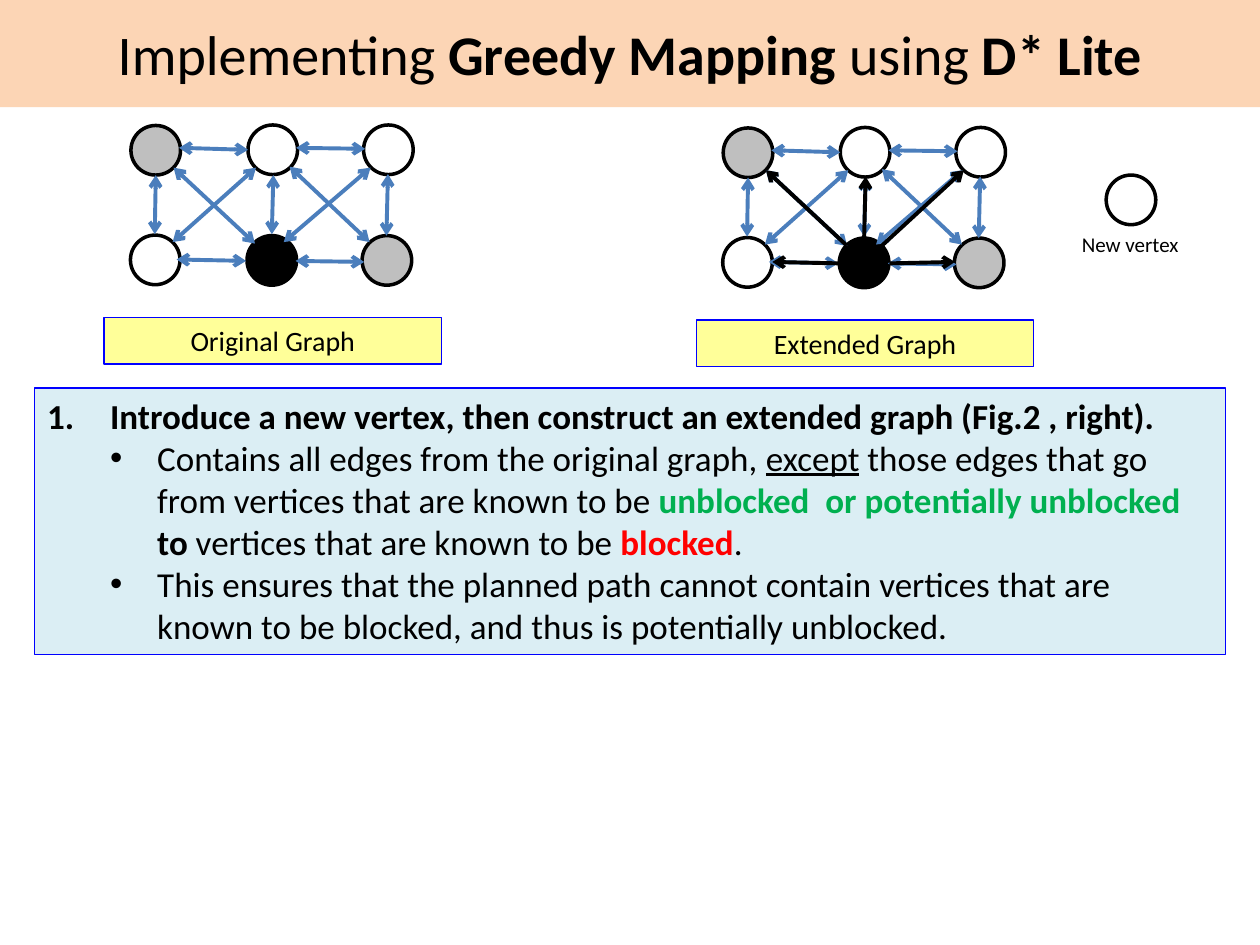
from dataclasses import dataclass

from lxml import etree
from pptx import Presentation
from pptx import util as u
from pptx.dml.color import RGBColor
from pptx.enum import shapes, text
from pptx.oxml.ns import qn

BLACK = RGBColor(0x00, 0x00, 0x00)
WHITE = RGBColor(0xFF, 0xFF, 0xFF)
GRAY = RGBColor(0xBF, 0xBF, 0xBF)
PEACH = RGBColor(0xFC, 0xD5, 0xB5)
YELLOW = RGBColor(0xFF, 0xFF, 0x99)
PALE_BLUE = RGBColor(0xDB, 0xEE, 0xF4)
BORDER_BLUE = RGBColor(0x00, 0x00, 0xFF)
EDGE_BLUE = RGBColor(0x4B, 0x7E, 0xBC)
GREEN = RGBColor(0x00, 0xB0, 0x50)
RED = RGBColor(0xFF, 0x00, 0x00)

FONT = "Calibri"
DIAMETER = 1.0
GRAPH_SHIFT = (11.94, 0.05)


@dataclass(frozen=True)
class Span:
    words: str
    bold: bool = False
    underline: bool = False
    color: RGBColor = BLACK


@dataclass(frozen=True)
class Item:
    spans: tuple[Span, ...]
    bullet: str = "•"
    level: int = 1
    margin: float = 2.22
    hanging: float = 0.95


@dataclass(frozen=True)
class Vertex:
    left: float
    top: float
    fill: RGBColor


@dataclass(frozen=True)
class Edge:
    x1: float
    y1: float
    x2: float
    y2: float


VERTICES = (
    Vertex(2.64, 2.53, GRAY),
    Vertex(5.0, 2.52, WHITE),
    Vertex(2.63, 4.74, WHITE),
    Vertex(4.98, 4.75, BLACK),
    Vertex(7.33, 2.52, WHITE),
    Vertex(7.3, 4.75, GRAY),
)
TWO_WAY_EDGES = (
    Edge(3.48, 4.88, 5.16, 3.38),
    Edge(5.72, 4.88, 7.47, 3.38),
    Edge(3.5, 3.38, 5.14, 4.91),
    Edge(5.84, 3.36, 7.45, 4.88),
    Edge(3.14, 3.53, 3.12, 4.72),
    Edge(5.51, 3.53, 5.48, 4.72),
    Edge(7.82, 3.51, 7.79, 4.75),
    Edge(5.0, 3.02, 3.61, 2.98),
    Edge(4.96, 5.26, 3.56, 5.23),
    Edge(7.36, 3.0, 5.97, 2.98),
    Edge(7.34, 5.28, 5.96, 5.26),
)
ONE_WAY_EDGES = (
    Edge(5.51, 3.51, 5.48, 4.75),
    Edge(7.49, 3.38, 5.84, 4.9),
    Edge(3.5, 3.38, 5.13, 4.9),
    Edge(3.63, 5.23, 4.98, 5.26),
    Edge(7.31, 5.23, 5.99, 5.26),
)
TITLE = (
    Span("Implementing "),
    Span("Greedy Mapping ", bold=True),
    Span("using "),
    Span("D* Lite", bold=True),
)
STEPS = (
    Item(
        (Span("Introduce a new vertex, then construct an extended graph (Fig.2 , right).", bold=True),),
        bullet="1.", level=0, margin=1.27, hanging=1.27,
    ),
    Item((
        Span("Contains all edges from the original graph, "),
        Span("except", underline=True),
        Span(" those edges that go from vertices that are known to be "),
        Span("unblocked  or potentially unblocked ", bold=True, color=GREEN),
        Span("to", bold=True),
        Span(" vertices that are known to be "),
        Span("blocked", bold=True, color=RED),
        Span("."),
    )),
    Item((
        Span("This ensures that the planned path cannot contain vertices "
             "that are known to be blocked, and thus is potentially unblocked."),
    )),
)


def add_box(page, kind, left: float, top: float, width: float, height: float,
            fill: RGBColor, line: RGBColor | None = None, weight: float = 0.75):
    box = page.shapes.add_shape(kind, u.Cm(left), u.Cm(top), u.Cm(width), u.Cm(height))
    box.shadow.inherit = False
    box.fill.solid()
    box.fill.fore_color.rgb = fill
    if line is None:
        box.line.fill.background()
    else:
        box.line.color.rgb = line
        box.line.width = u.Pt(weight)
    box.text_frame.word_wrap = True
    return box


def write(para, spans: tuple[Span, ...], size: int, align=text.PP_ALIGN.CENTER) -> None:
    para.alignment = align
    para.font.name = FONT
    para.font.size = u.Pt(size)
    for span in spans:
        run = para.add_run()
        run.text = span.words
        run.font.bold = span.bold
        run.font.underline = span.underline
        run.font.color.rgb = span.color


def set_bullet(para, item: Item) -> None:
    para.level = item.level
    props = para._p.get_or_add_pPr()
    props.set("marL", str(u.Cm(item.margin)))
    props.set("indent", str(-u.Cm(item.hanging)))
    if item.bullet == "1.":
        etree.SubElement(props, qn("a:buFont"), typeface="+mj-lt")
        etree.SubElement(props, qn("a:buAutoNum"), type="arabicPeriod")
    else:
        etree.SubElement(props, qn("a:buFont"), typeface="Arial")
        etree.SubElement(props, qn("a:buChar"), char=item.bullet)


def add_vertex(page, left: float, top: float, fill: RGBColor) -> None:
    add_box(page, shapes.MSO_SHAPE.OVAL, left, top, DIAMETER, DIAMETER, fill, BLACK, 2)


def add_edge(page, edge: Edge, dx: float, dy: float, color: RGBColor, ends: tuple[str, ...]) -> None:
    line = page.shapes.add_connector(
        shapes.MSO_CONNECTOR.STRAIGHT,
        u.Cm(edge.x1 + dx), u.Cm(edge.y1 + dy), u.Cm(edge.x2 + dx), u.Cm(edge.y2 + dy),
    )
    line.line.color.rgb = color
    line.line.width = u.Pt(2.25)
    for end in ends:
        etree.SubElement(line.line._get_or_add_ln(), qn(end), type="arrow")
    etree.SubElement(line._element.spPr, qn("a:effectLst"))


def add_graph(page, caption: str, dx: float, dy: float, one_way: tuple[Edge, ...] = ()) -> None:
    for vertex in VERTICES:
        add_vertex(page, vertex.left + dx, vertex.top + dy, vertex.fill)
    for edge in TWO_WAY_EDGES:
        add_edge(page, edge, dx, dy, EDGE_BLUE, ("a:headEnd", "a:tailEnd"))
    for edge in one_way:
        add_edge(page, edge, dx, dy, BLACK, ("a:headEnd",))
    label = add_box(page, shapes.MSO_SHAPE.RECTANGLE, 2.1 + dx, 6.4 + dy, 6.8, 0.94, YELLOW, BORDER_BLUE)
    write(label.text_frame.paragraphs[0], (Span(caption),), 16)


def main() -> None:
    deck = Presentation()
    deck.slide_width, deck.slide_height = u.Cm(25.4), u.Cm(19.05)
    page = deck.slides.add_slide(deck.slide_layouts[6])

    title = add_box(page, shapes.MSO_SHAPE.RECTANGLE, 0, 0, 25.4, 2.16, PEACH)
    write(title.text_frame.paragraphs[0], TITLE, 32)

    steps = add_box(page, shapes.MSO_SHAPE.RECTANGLE, 0.7, 7.82, 24, 5.38, PALE_BLUE, BORDER_BLUE)
    frame = steps.text_frame
    frame.vertical_anchor = text.MSO_ANCHOR.TOP
    for index, item in enumerate(STEPS):
        para = frame.add_paragraph() if index else frame.paragraphs[0]
        set_bullet(para, item)
        write(para, item.spans, 20, text.PP_ALIGN.LEFT)

    add_graph(page, "Original Graph", 0, 0)
    add_graph(page, "Extended Graph", *GRAPH_SHIFT, ONE_WAY_EDGES)

    add_vertex(page, 22.3, 3.53, WHITE)
    note = page.shapes.add_textbox(u.Cm(21.56), u.Cm(4.55), u.Cm(2.49), u.Cm(0.76))
    note.text_frame.word_wrap = False
    write(note.text_frame.paragraphs[0], (Span("New vertex"),), 12, text.PP_ALIGN.LEFT)

    deck.save("out.pptx")


if __name__ == "__main__":
    main()
